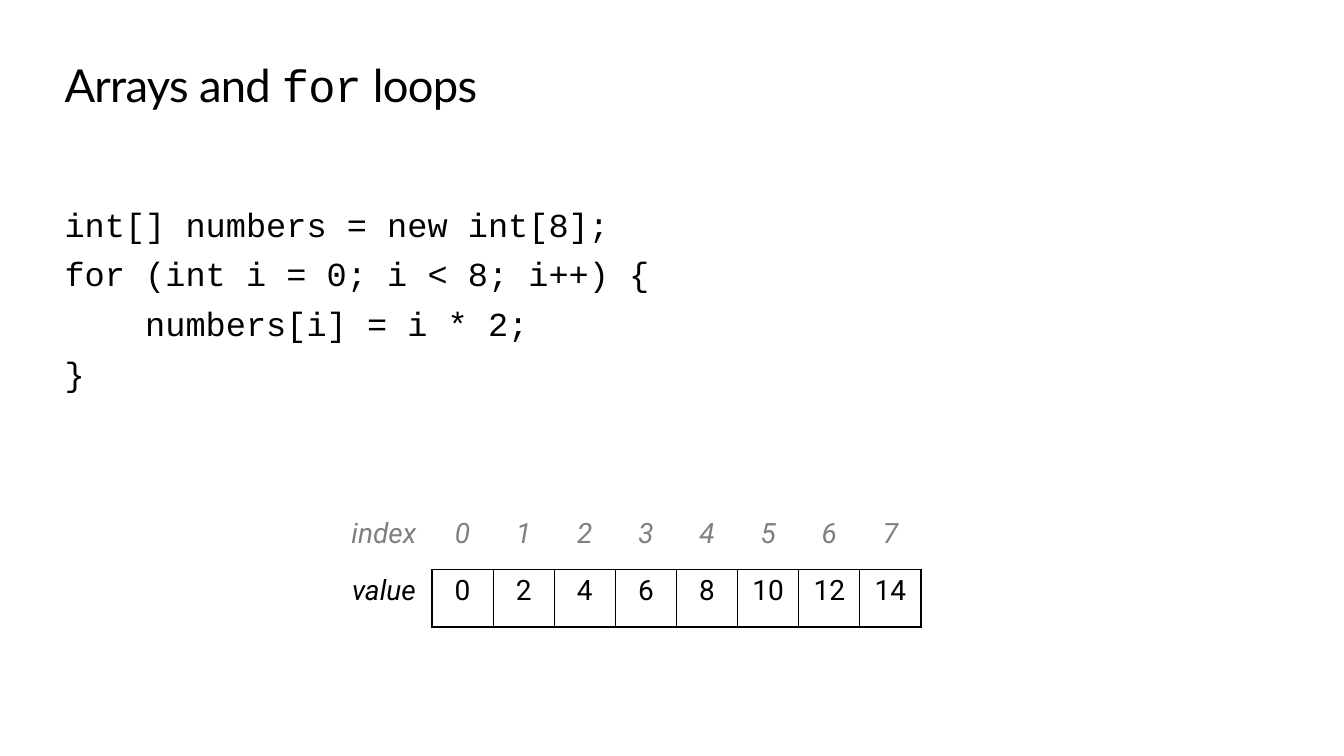
from dataclasses import dataclass

from lxml import etree
from pptx import Presentation
from pptx import util as u
from pptx.dml import color
from pptx.enum import text
from pptx.oxml import ns

COLOURS = {"ink": "000000", "index": "808080"}
CODE_FONT, TITLE_FONT, TABLE_FONT = "Courier New", "Lato", "Roboto"
MARGIN, CONTENT_WIDTH = 46.1, 867.6
CODE_SIZE, CODE_INDENT, CODE_GAP = 24, 57.6, 6.6
LABEL_WIDTH, ITEM_WIDTH, ROW_HEIGHT = 68.8, 43.66, 41
THIN, THICK = 1, 2.25


@dataclass
class Span:
    words: str
    font: str
    size: float
    colour: str = "ink"
    italic: bool = False
    spacing: float = 0


@dataclass
class CodeLine:
    words: str
    depth: int = 0


@dataclass
class Borders:
    """Line widths of a cell's edges; zero leaves an edge undrawn."""
    left: float = 0
    right: float = 0
    top: float = 0
    bottom: float = 0


TITLE = [
    Span("Arrays and ", TITLE_FONT, 32.4, spacing=-0.5),
    Span("for", CODE_FONT, 32.4, spacing=-0.5),
    Span(" loops", TITLE_FONT, 32.4, spacing=-0.5),
]
CODE = [
    CodeLine("int[] numbers = new int[8];"),
    CodeLine("for (int i = 0; i < 8; i++) {"),
    CodeLine("numbers[i] = i * 2;", depth=1),
    CodeLine("}"),
]
INDEXES = list(range(8))
VALUES = [2 * index for index in INDEXES]


def add_span(para, item: Span) -> None:
    span = para.add_run()
    span.text = item.words
    span.font.name = item.font
    span.font.size = u.Pt(item.size)
    span.font.italic = item.italic
    span.font.color.rgb = color.RGBColor.from_string(COLOURS[item.colour])
    if item.spacing:
        span._r.get_or_add_rPr().set("spc", str(round(item.spacing * 100)))


def place(box, top: float, height: float, inset_top: float, anchor):
    """Moves a placeholder to the content column and returns its text frame."""
    box.left, box.top = u.Pt(MARGIN), u.Pt(top)
    box.width, box.height = u.Pt(CONTENT_WIDTH), u.Pt(height)
    frame = box.text_frame
    frame.margin_left = frame.margin_right = frame.margin_bottom = u.Pt(0)
    frame.margin_top = u.Pt(inset_top)
    frame.vertical_anchor = anchor
    frame.auto_size = text.MSO_AUTO_SIZE.NONE
    frame.word_wrap = True
    return frame


def fill_title(box) -> None:
    frame = place(box, 36, 43.9, 3.6, text.MSO_ANCHOR.BOTTOM)
    para = frame.paragraphs[0]
    para.alignment = text.PP_ALIGN.LEFT
    for item in TITLE:
        add_span(para, item)


def fill_code(box) -> None:
    frame = place(box, 113, 181.4, 32.5, text.MSO_ANCHOR.TOP)
    for number, line in enumerate(CODE):
        para = frame.add_paragraph() if number else frame.paragraphs[0]
        para.space_before = u.Pt(CODE_GAP if number else 0)
        props = para._p.get_or_add_pPr()
        props.set("marL", str(u.Pt(CODE_INDENT * line.depth)))
        props.set("indent", "0")
        etree.SubElement(props, ns.qn("a:buNone"))
        add_span(para, Span(line.words, CODE_FONT, CODE_SIZE))


def draw_borders(cell, borders: Borders) -> None:
    props = cell._tc.get_or_add_tcPr()
    edges = [("a:lnL", borders.left), ("a:lnR", borders.right),
             ("a:lnT", borders.top), ("a:lnB", borders.bottom)]
    for position, (tag, width) in enumerate(edges):
        edge = etree.Element(ns.qn(tag))
        if width:
            edge.set("w", str(u.Pt(width)))
            fill = etree.SubElement(edge, ns.qn("a:solidFill"))
            etree.SubElement(fill, ns.qn("a:srgbClr"), val=COLOURS["ink"])
        else:
            etree.SubElement(edge, ns.qn("a:noFill"))
        props.insert(position, edge)


def fill_cell(cell, item: Span, borders: Borders) -> None:
    cell.fill.background()
    draw_borders(cell, borders)
    para = cell.text_frame.paragraphs[0]
    para.alignment = text.PP_ALIGN.CENTER
    add_span(para, item)


def add_array_table(page) -> None:
    count = len(VALUES)
    table = page.shapes.add_table(
        2, count + 1, u.Pt(239.8), u.Pt(365.8),
        u.Pt(LABEL_WIDTH + count * ITEM_WIDTH), u.Pt(2 * ROW_HEIGHT)).table
    table.first_row = table.horz_banding = False
    for number, column in enumerate(table.columns):
        column.width = u.Pt(ITEM_WIDTH if number else LABEL_WIDTH)

    fill_cell(table.cell(0, 0), Span("index", TABLE_FONT, 20, "index", True), Borders())
    fill_cell(table.cell(1, 0), Span("value", TABLE_FONT, 20, italic=True), Borders(right=THIN))
    for column, (index, value) in enumerate(zip(INDEXES, VALUES), start=1):
        right = THICK if column == count else THIN
        fill_cell(table.cell(0, column), Span(str(index), TABLE_FONT, 20, "index", True),
                  Borders(bottom=THIN))
        fill_cell(table.cell(1, column), Span(str(value), TABLE_FONT, 20),
                  Borders(THIN, right, THIN, THICK))


def main() -> None:
    deck = Presentation()
    deck.slide_width, deck.slide_height = u.Pt(960), u.Pt(540)
    page = deck.slides.add_slide(deck.slide_layouts[1])
    fill_title(page.shapes.title)
    fill_code(page.placeholders[1])
    add_array_table(page)
    deck.save("out.pptx")


if __name__ == "__main__":
    main()
